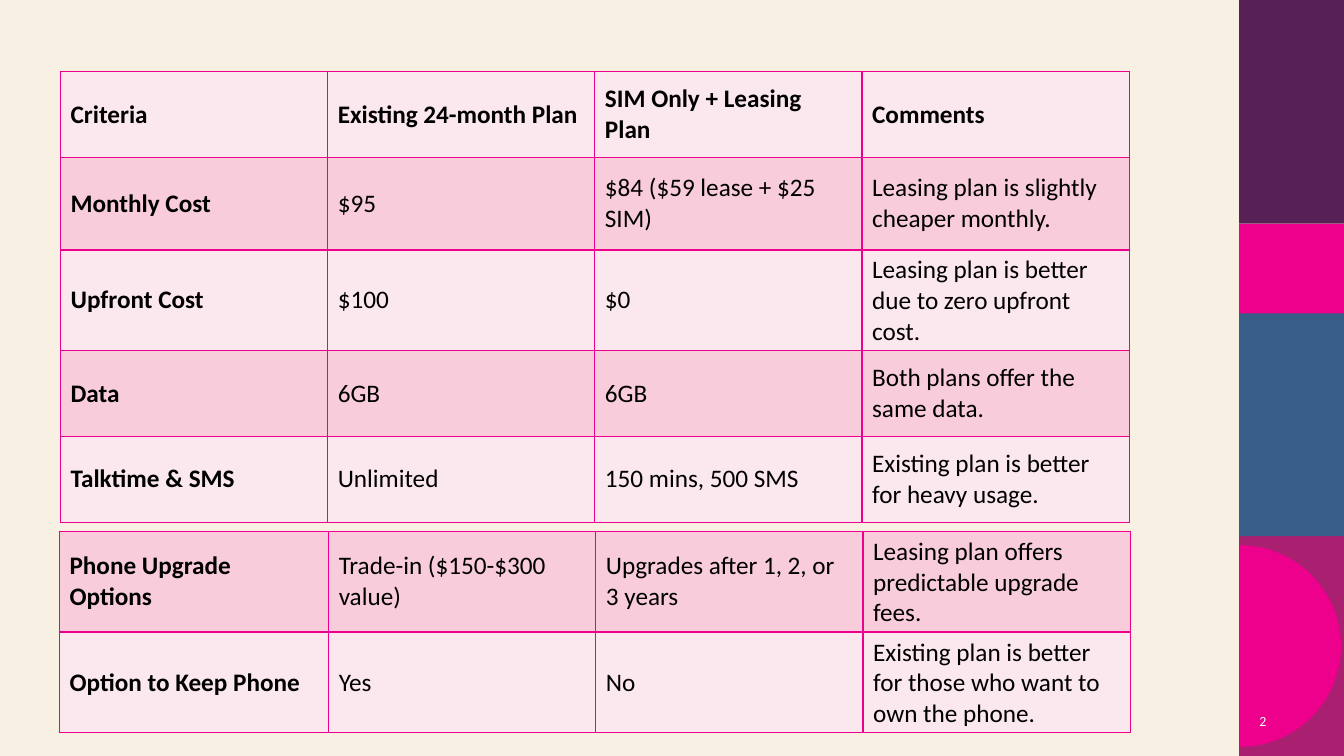
"""Build a slide comparing two phone plans in a banded table beside a colour strip."""
from dataclasses import dataclass
from math import cos, pi, sin

from lxml.etree import SubElement
from pptx import Presentation
from pptx.dml.color import RGBColor
from pptx.enum.shapes import MSO_SHAPE as Preset
from pptx.enum.text import MSO_ANCHOR as Anchor, PP_ALIGN as Align
from pptx.oxml.ns import qn
from pptx.shapes.autoshape import Shape
from pptx.slide import Slide
from pptx.table import _Cell as Cell
from pptx.text.text import Font
from pptx.util import Emu, Pt

PX = 9144


@dataclass(frozen=True)
class Theme:
    font: str = "Calibri"
    table_size: int = 18
    number_size: int = 10
    border_width: int = 1
    background: str = "F8F0E3"
    plum: str = "582156"
    pink: str = "EC008C"
    blue: str = "385E88"
    magenta: str = "AA2070"
    light_row: str = "FBE7EE"
    dark_row: str = "F8CCDA"
    text: str = "000000"
    number: str = "FFFFFF"


@dataclass(frozen=True)
class Band:
    top: int
    height: int
    color: str


@dataclass(frozen=True)
class PlanTable:
    left: int
    top: int
    columns: tuple[int, ...]
    heights: tuple[int, ...]
    rows: tuple[tuple[str, ...], ...]
    has_header: bool


THEME = Theme()
STRIP_LEFT, STRIP_WIDTH = 1229, 111
BANDS = (
    Band(528, 222, THEME.magenta),
    Band(310, 222, THEME.blue),
    Band(0, 222, THEME.plum),
    Band(222, 89, THEME.pink),
)
TABLES = (
    PlanTable(60, 71, (265,) * 4, (85, 92, 92, 85, 85), (
        ("Criteria", "Existing 24-month Plan", "SIM Only + Leasing Plan", "Comments"),
        ("Monthly Cost", "$95", "$84 ($59 lease + $25 SIM)",
         "Leasing plan is slightly cheaper monthly."),
        ("Upfront Cost", "$100", "$0", "Leasing plan is better due to zero upfront cost."),
        ("Data", "6GB", "6GB", "Both plans offer the same data."),
        ("Talktime & SMS", "Unlimited", "150 mins, 500 SMS",
         "Existing plan is better for heavy usage."),
    ), True),
    PlanTable(59, 527, (267, 265, 265, 265), (76, 76), (
        ("Phone Upgrade Options", "Trade-in ($150-$300 value)",
         "Upgrades after 1, 2, or 3 years", "Leasing plan offers predictable upgrade fees."),
        ("Option to Keep Phone", "Yes", "No",
         "Existing plan is better for those who want to own the phone."),
    ), False),
)


def px(value: int) -> Emu:
    """Convert pixels to EMU."""
    return Emu(value * PX)


def rgb(color: str) -> RGBColor:
    """Convert a hex string to a colour."""
    return RGBColor.from_string(color)


def style_font(font: Font, size: int, color: str, bold: bool = False) -> None:
    """Set the typeface, size, colour and weight."""
    font.name, font.size, font.bold = THEME.font, Pt(size), bold
    font.color.rgb = rgb(color)


def paint(shape: Shape, color: str) -> None:
    """Give a shape a flat fill with no outline or shadow."""
    shape.shadow.inherit = False
    shape.fill.solid()
    shape.fill.fore_color.rgb = rgb(color)
    shape.line.fill.background()


def draw_band(slide: Slide, band: Band) -> None:
    """Draw one block of the colour strip."""
    shape = slide.shapes.add_shape(
        Preset.RECTANGLE, px(STRIP_LEFT), px(band.top), px(STRIP_WIDTH), px(band.height))
    paint(shape, band.color)


def draw_half_disc(slide: Slide, left: int, middle: int, radius: int) -> None:
    """Draw a half disc that bulges to the right."""
    steps = 90
    angles = [pi * step / steps - pi / 2 for step in range(steps + 1)]
    points = [(px(left) + round(px(radius) * cos(angle)),
               px(middle) + round(px(radius) * sin(angle))) for angle in angles]
    builder = slide.shapes.build_freeform(*points[0])
    builder.add_line_segments(points[1:], close=True)
    paint(builder.convert_to_shape(), THEME.pink)


def draw_number(slide: Slide, number: str) -> None:
    """Write the slide number over the strip."""
    text_frame = slide.shapes.add_textbox(px(1216), px(695), px(50), px(40)).text_frame
    text_frame.word_wrap = True
    text_frame.vertical_anchor = Anchor.MIDDLE
    text_frame.text = number
    paragraph = text_frame.paragraphs[0]
    paragraph.alignment = Align.RIGHT
    style_font(paragraph.runs[0].font, THEME.number_size, THEME.number)


def add_borders(cell: Cell) -> None:
    """Line all four sides of a cell."""
    properties = cell._tc.get_or_add_tcPr()
    for side in ("lnL", "lnR", "lnT", "lnB"):
        line = SubElement(properties, qn(f"a:{side}"), w=str(Pt(THEME.border_width)))
        fill = SubElement(line, qn("a:solidFill"))
        SubElement(fill, qn("a:srgbClr"), val=THEME.pink)


def fill_cell(cell: Cell, text: str, color: str, bold: bool) -> None:
    """Write and style one table cell."""
    add_borders(cell)
    cell.fill.solid()
    cell.fill.fore_color.rgb = rgb(color)
    cell.vertical_anchor = Anchor.MIDDLE
    cell.text_frame.text = text
    style_font(cell.text_frame.paragraphs[0].runs[0].font,
               THEME.table_size, THEME.text, bold)


def draw_table(slide: Slide, plan: PlanTable, first_row: int) -> None:
    """Draw a plan table, banding its rows from the given running index."""
    table = slide.shapes.add_table(
        len(plan.rows), len(plan.columns), px(plan.left), px(plan.top),
        px(sum(plan.columns)), px(sum(plan.heights))).table
    table.first_row = plan.has_header
    for column, width in zip(table.columns, plan.columns):
        column.width = px(width)
    for row_index, (texts, height) in enumerate(zip(plan.rows, plan.heights)):
        table.rows[row_index].height = px(height)
        color = THEME.dark_row if (first_row + row_index) % 2 else THEME.light_row
        for column_index, text in enumerate(texts):
            bold = column_index == 0 or (plan.has_header and row_index == 0)
            fill_cell(table.cell(row_index, column_index), text, color, bold)


def main() -> None:
    """Build and save the presentation."""
    presentation = Presentation()
    presentation.slide_width, presentation.slide_height = px(1333), px(750)
    slide = presentation.slides.add_slide(presentation.slide_layouts[6])
    slide.background.fill.solid()
    slide.background.fill.fore_color.rgb = rgb(THEME.background)
    for band in BANDS:
        draw_band(slide, band)
    draw_half_disc(slide, 1230, 641, 100)
    draw_number(slide, "2")
    first_row = 0
    for plan in TABLES:
        draw_table(slide, plan, first_row)
        first_row += len(plan.rows)
    presentation.save("out.pptx")


if __name__ == "__main__":
    main()
